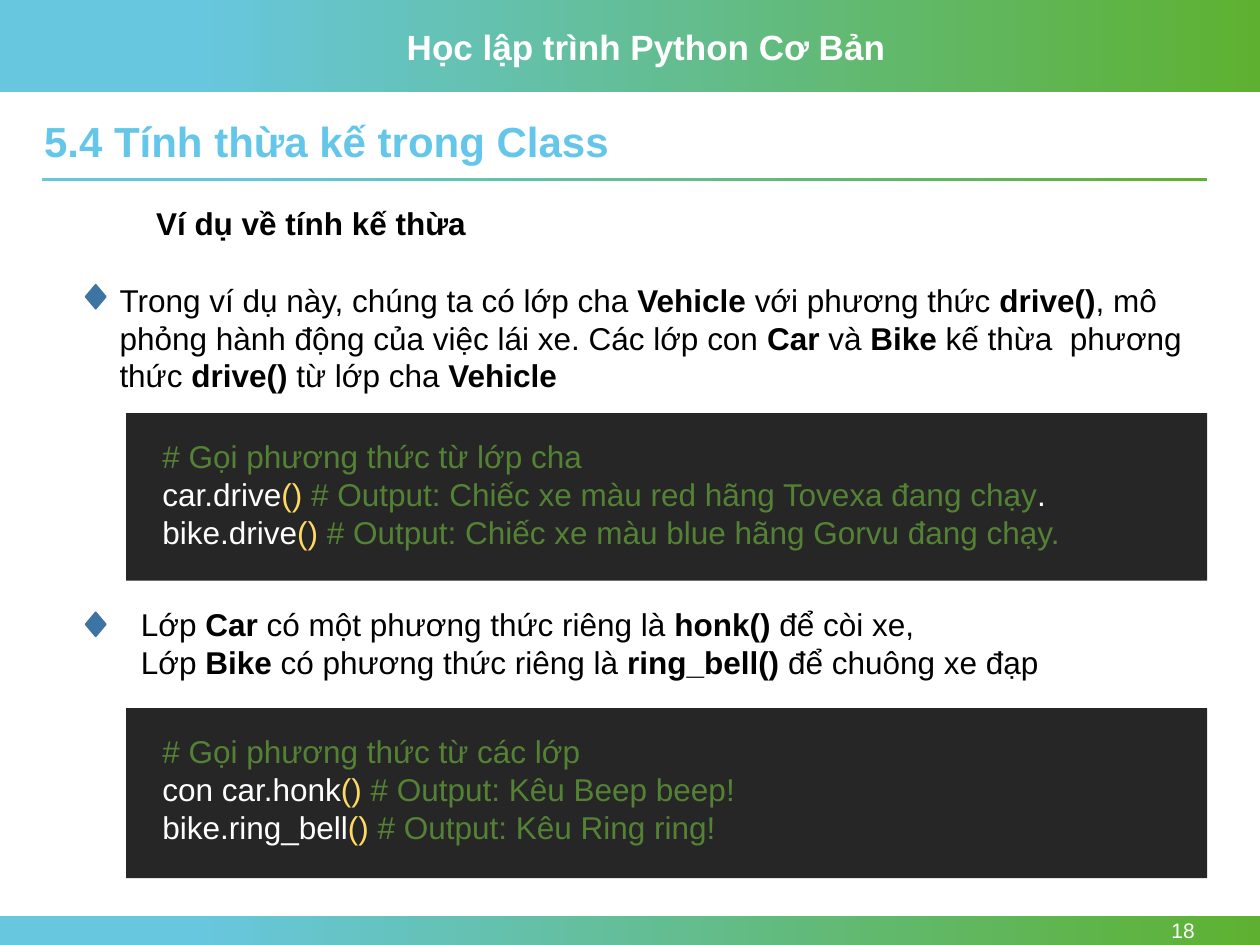
from pptx import Presentation, util as u
from pptx.dml.color import RGBColor
from pptx.enum import shapes, text

COLUMNS, ROWS = 100, 75
WIDTH, HEIGHT = u.Inches(10), u.Inches(7.5)
SKY, GREEN = "67C7DF", "5EB130"
CODE, BRACKET, COMMENT = "FFFFFF", "FFD966", "548235"
CODE_LEFT, CODE_WIDTH = 10, 85.8

INTRO = [
    "Trong ví dụ này, chúng ta có lớp cha **Vehicle** với phương thức **drive()**, "
    "mô phỏng hành động của việc lái xe. Các lớp con **Car** và **Bike** kế thừa  "
    "phương thức **drive() **từ lớp cha **Vehicle**"
]
OWN_METHODS = [
    "Lớp **Car** có một phương thức riêng là **honk() **để còi xe,",
    "Lớp **Bike** có phương thức riêng là **ring_bell() **để chuông xe đạp",
]
PARENT_CALLS = [
    [("# Gọi phương thức từ lớp cha", COMMENT)],
    [("car.drive", CODE), ("() ", BRACKET),
     ("# Output: Chiếc xe màu red hãng Tovexa đang chạy", COMMENT), (".", CODE)],
    [("bike.drive", CODE), ("() ", BRACKET),
     ("# Output: Chiếc xe màu blue hãng Gorvu đang chạy.", COMMENT)],
]
CHILD_CALLS = [
    [("# Gọi phương thức từ các lớp", COMMENT)],
    [("con car.honk", CODE), ("() ", BRACKET), ("# Output: Kêu Beep beep!", COMMENT)],
    [("bike.ring_bell", CODE), ("() ", BRACKET), ("# Output: Kêu Ring ring!", COMMENT)],
]


def color(hex_value):
    """Turn a hex string into a colour."""
    return RGBColor.from_string(hex_value)


def grid(left, top, width, height):
    """Turn grid columns and rows into slide lengths."""
    column, row = WIDTH / COLUMNS, HEIGHT / ROWS
    return [round(n * unit) for n, unit in
            ((left, column), (top, row), (width, column), (height, row))]


def apply(target, values):
    """Set each attribute of the target from a dict."""
    for name, value in values.items():
        setattr(target, name, value)


def add_block(slide, area, kind=shapes.MSO_SHAPE.RECTANGLE):
    """Add a shape without shadow or outline."""
    block = slide.shapes.add_shape(kind, *grid(*area))
    block.shadow.inherit = False
    block.line.fill.background()
    return block


def add_band(slide, area):
    """Add a bar that fades from sky blue to green."""
    fill = add_block(slide, area).fill
    fill.gradient()
    fill.gradient_angle = 0
    for stop, position, shade in zip(fill.gradient_stops, (0.15, 1), (SKY, GREEN)):
        stop.position = position
        stop.color.rgb = color(shade)


def add_diamond(slide, top):
    """Add a diamond bullet marker at the given row."""
    marker = add_block(slide, (6.8, top, 1.6, 1.9), shapes.MSO_SHAPE.FLOWCHART_DECISION)
    marker.fill.solid()
    marker.fill.fore_color.rgb = color("3A75A6")
    marker.line.color.rgb = color("43739E")
    marker.line.width = u.Pt(1)


def write(paragraph, wording, shade, **font):
    """Append one formatted run to a paragraph."""
    run = paragraph.add_run()
    run.text = wording
    apply(run.font, {"name": "Arial", "size": u.Pt(18), "bold": False, **font})
    run.font.color.rgb = color(shade)


def add_lines(slide, area, lines, shade="000000", align=text.PP_ALIGN.LEFT,
              anchor=text.MSO_ANCHOR.TOP, **font):
    """Add a text box whose lines are marked strings or coloured pieces."""
    frame = slide.shapes.add_textbox(*grid(*area)).text_frame
    apply(frame, {"word_wrap": True, "vertical_anchor": anchor})
    for index, line in enumerate(lines):
        paragraph = frame.add_paragraph() if index else frame.paragraphs[0]
        paragraph.alignment = align
        if isinstance(line, str):
            for part, wording in enumerate(line.split("**")):
                if wording:
                    write(paragraph, wording, shade, **{"bold": part % 2 == 1, **font})
        else:
            for wording, piece_shade in line:
                write(paragraph, wording, piece_shade, **font)


def add_code(slide, top, height, lines):
    """Add a dark panel with coloured code lines."""
    panel = add_block(slide, (CODE_LEFT, top, CODE_WIDTH, height))
    panel.fill.solid()
    panel.fill.fore_color.rgb = color("262626")
    add_lines(slide, (CODE_LEFT + 1.9, top + 1.4, 81.7, 10.1), lines)


def set_title(slide, area, wording):
    """Place and format the slide title."""
    title = slide.shapes.title
    apply(title, dict(zip(("left", "top", "width", "height"), grid(*area))))
    apply(title.text_frame, {"word_wrap": True, "auto_size": text.MSO_AUTO_SIZE.NONE,
                             "vertical_anchor": text.MSO_ANCHOR.TOP})
    paragraph = title.text_frame.paragraphs[0]
    apply(paragraph, {"alignment": text.PP_ALIGN.LEFT, "line_spacing": 0.9,
                      "space_before": u.Pt(0)})
    write(paragraph, wording, "64C7E9", size=u.Pt(24), bold=True)


def main():
    """Build the slide and save it."""
    deck = Presentation()
    apply(deck, {"slide_width": WIDTH, "slide_height": HEIGHT})
    slide = deck.slides.add_slide(deck.slide_layouts[5])

    for band in ((0, 0, COLUMNS, 7.3), (0, 72.7, COLUMNS, 2.3), (3.3, 14.1, 92.5, 0.3)):
        add_band(slide, band)
    add_lines(slide, (31.3, 1.5, 40, 4.4), ["Học lập trình Python Cơ Bản"],
              "FFFFFF", size=u.Pt(20), bold=True)
    add_lines(slide, (86.6, 72.7, 9.2, 2.3), ["18"], "FFFFFF", text.PP_ALIGN.RIGHT,
              text.MSO_ANCHOR.MIDDLE, size=u.Pt(12))
    set_title(slide, (2.5, 9.1, 92.5, 4.6), "5.4 Tính thừa kế trong Class")

    add_lines(slide, (11.4, 15.7, 79.5, 4), ["**Ví dụ về tính kế thừa**"])
    add_diamond(slide, 22.6)
    add_lines(slide, (8.5, 21.8, 86.5, 10.1), INTRO)
    add_code(slide, 32.8, 13.3, PARENT_CALLS)
    add_diamond(slide, 48.6)
    add_lines(slide, (10.2, 47.5, 81.7, 7.1), OWN_METHODS)
    add_code(slide, 56.2, 13.5, CHILD_CALLS)

    deck.save("out.pptx")


if __name__ == "__main__":
    main()
